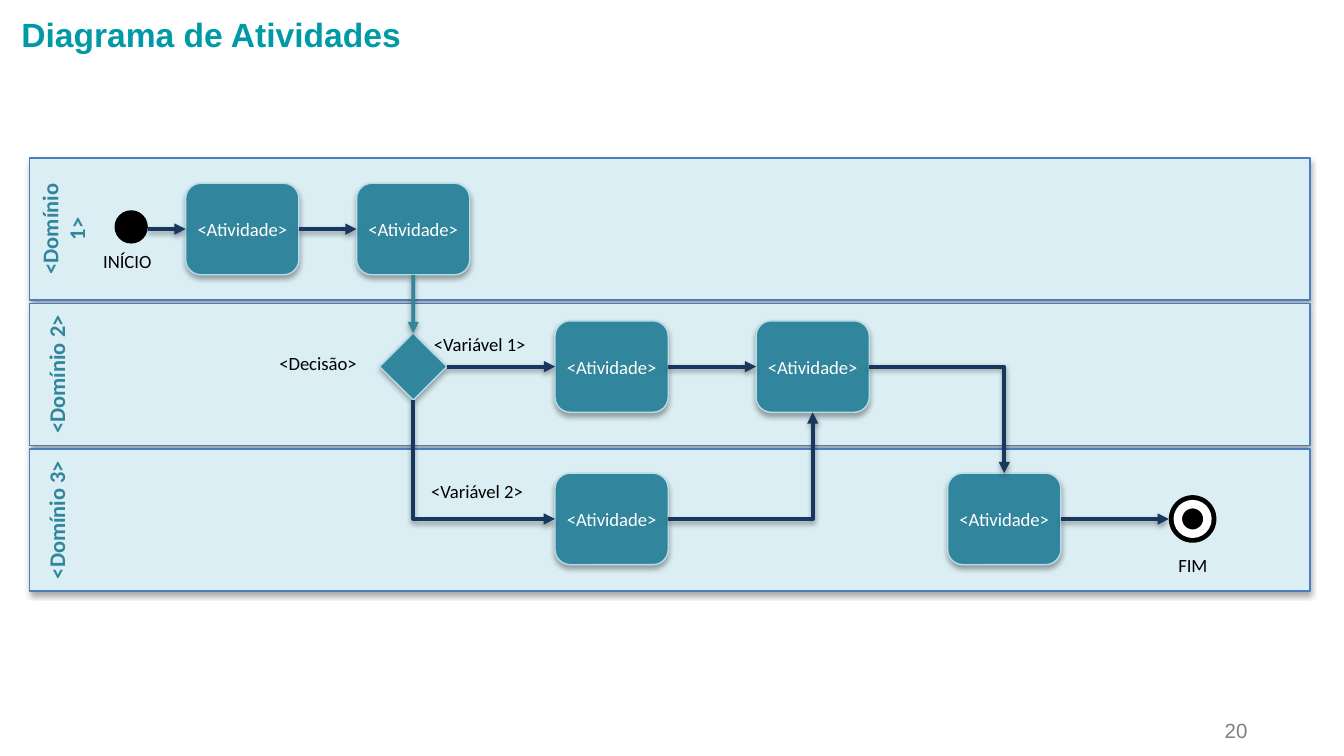
from lxml import etree
from pptx import Presentation
from pptx import util as u
from pptx.dml.color import RGBColor
from pptx.enum import shapes, text
from pptx.oxml.ns import qn

TEAL, NAVY, BLACK, WHITE = "31859C", "17375E", "000000", "FFFFFF"
TOP, LEFT, BOTTOM, RIGHT = range(4)


def rgb(value):
    return RGBColor.from_string(value)


class SwimlaneSlide:
    activity_w, activity_h = 2.14, 1.73

    def __init__(self, prs):
        self.slide = prs.slides.add_slide(prs.slide_layouts[5])
        self.shapes = self.slide.shapes

    def style_text(self, frame, content, size, color, font="Calibri", bold=False, align=None):
        frame.text = content
        paragraph = frame.paragraphs[0]
        paragraph.alignment = align
        for run in paragraph.runs:
            run.font.size = u.Pt(size)
            run.font.name = font
            run.font.bold = bold
            run.font.color.rgb = rgb(color)
        return paragraph

    def shadow(self, item, opacity=35, distance=1.8):
        properties = item._element.spPr
        for old in properties.findall(qn("a:effectLst")):
            properties.remove(old)
        effects = etree.SubElement(properties, qn("a:effectLst"))
        outer = etree.SubElement(effects, qn("a:outerShdw"), blurRad=str(u.Pt(3.1)),
                                 dist=str(u.Pt(distance)), dir="5400000", rotWithShape="0")
        tint = etree.SubElement(outer, qn("a:srgbClr"), val=BLACK)
        etree.SubElement(tint, qn("a:alpha"), val=str(opacity * 1000))

    def title(self, content):
        title = self.shapes.title
        title.left, title.top, title.width, title.height = map(u.Cm, (0.15, 0.13, 22.35, 1.02))
        frame = title.text_frame
        frame.auto_size = text.MSO_AUTO_SIZE.NONE
        frame.vertical_anchor = text.MSO_ANCHOR.TOP
        self.style_text(frame, content, 18, "009AA6", "Arial", True, text.PP_ALIGN.LEFT)

    def box(self, kind, cx, cy, width, height, fill, line=None, line_width=0.75):
        """Place a shape by its centre."""
        box = self.shapes.add_shape(kind, u.Cm(cx - width / 2), u.Cm(cy - height / 2),
                                    u.Cm(width), u.Cm(height))
        box.shadow.inherit = False
        box.fill.solid()
        box.fill.fore_color.rgb = rgb(fill)
        if line:
            box.line.color.rgb = rgb(line)
            box.line.width = u.Pt(line_width)
        else:
            box.line.fill.background()
        return box

    def lane(self, cy, name, margin_left, margin_ends, wrap):
        lane = self.box(shapes.MSO_SHAPE.RECTANGLE, 12.66, cy, 24.2, 2.69, "DBEEF4", "4B7EBC")
        self.shadow(lane)
        frame = lane.text_frame
        frame.word_wrap = wrap
        frame.vertical_anchor = text.MSO_ANCHOR.TOP
        frame.margin_left = u.Cm(margin_left)
        frame.margin_top = frame.margin_bottom = u.Cm(margin_ends)
        frame._txBody.bodyPr.set("vert", "vert270")
        self.style_text(frame, name, 12, TEAL, bold=True, align=text.PP_ALIGN.CENTER)

    def activity(self, cx, cy):
        activity = self.box(shapes.MSO_SHAPE.ROUNDED_RECTANGLE, cx, cy,
                            self.activity_w, self.activity_h, TEAL, "B7DEE8")
        self.shadow(activity)
        frame = activity.text_frame
        frame.margin_left = frame.margin_right = frame.margin_top = frame.margin_bottom = 0
        frame.vertical_anchor = text.MSO_ANCHOR.MIDDLE
        self.style_text(frame, "<Atividade>", 10, WHITE, align=text.PP_ALIGN.CENTER)
        return activity

    def decision(self, cx, cy):
        decision = self.box(shapes.MSO_SHAPE.DIAMOND, cx, cy, 1.27, 1.27, TEAL, "B7DEE8")
        self.shadow(decision)
        return decision

    def dot(self, cx, cy, diameter, line=None):
        self.box(shapes.MSO_SHAPE.OVAL, cx, cy, diameter, diameter, BLACK, line, 4.5)

    def label(self, left, top, width, content, size=10, color=BLACK, font="Calibri",
              align=text.PP_ALIGN.LEFT):
        label = self.shapes.add_textbox(u.Cm(left), u.Cm(top), u.Cm(width), u.Cm(0.69))
        label.text_frame.word_wrap = False
        return self.style_text(label.text_frame, content, size, color, font, align=align)

    def arrow(self, start, end, color=NAVY, kind=shapes.MSO_CONNECTOR.STRAIGHT):
        arrow = self.shapes.add_connector(kind, *map(u.Cm, start + end))
        arrow.line.color.rgb = rgb(color)
        arrow.line.width = u.Pt(2)
        etree.SubElement(arrow.line._get_or_add_ln(), qn("a:tailEnd"), type="triangle")
        self.shadow(arrow, 38, 1.6)
        return arrow

    def join(self, source, source_side, target, target_side, color=NAVY):
        arrow = self.arrow((0, 0), (1, 1), color)
        arrow.begin_connect(source, source_side)
        arrow.end_connect(target, target_side)

    def bent_arrow(self, start, end, down_first=False):
        """Draw an arrow with one corner, across first unless down_first."""
        arrow = self.arrow(start, end, kind=shapes.MSO_CONNECTOR.ELBOW)
        arrow._element.spPr.find(qn("a:prstGeom")).set("prst", "bentConnector2")
        if down_first:
            (x1, y1), (x2, y2) = start, end
            across, down = x2 - x1, y2 - y1
            arrow.left, arrow.top = u.Cm((x1 + x2 - down) / 2), u.Cm((y1 + y2 - across) / 2)
            arrow.width, arrow.height = u.Cm(down), u.Cm(across)
            frame = arrow._element.spPr.find(qn("a:xfrm"))
            frame.set("rot", "16200000")
            frame.set("flipH", "1")


def main():
    prs = Presentation()
    prs.slide_width, prs.slide_height = u.Cm(25.4), u.Cm(14.29)
    page = SwimlaneSlide(prs)
    page.title("Diagrama de Atividades")
    half_w, half_h = page.activity_w / 2, page.activity_h / 2

    # Lanes: the first name wraps onto two lines
    for number in range(3):
        first = number == 0
        page.lane(4.33 + 2.75 * number, f"<Domínio {number + 1}>",
                  0.12 if first else 0.25, 0.3 if first else 0, first)

    # Activities and decision, by column and row centres
    col_1, col_2, col_3, col_4, col_5 = 4.58, 7.81, 11.56, 15.36, 18.98
    row_1, row_2, row_3 = 4.33, 6.93, 9.81
    first_step = page.activity(col_1, row_1)
    second_step = page.activity(col_2, row_1)
    decision = page.decision(col_2, row_2)
    option_1 = page.activity(col_3, row_2)
    page.activity(col_3, row_3)
    merge = page.activity(col_4, row_2)
    last_step = page.activity(col_5, row_3)

    # Start and end marks
    start_x, end_x, end_d = 2.48, 22.54, 0.9
    page.dot(start_x, 4.29, 0.63)
    page.dot(end_x, row_3, end_d)
    page.dot(end_x, row_3, 0.56, WHITE)

    # Straight flow
    page.arrow((start_x + 0.31, row_1), (col_1 - half_w, row_1)).end_connect(first_step, LEFT)
    page.join(first_step, RIGHT, second_step, LEFT)
    page.join(second_step, BOTTOM, decision, TOP, TEAL)
    page.join(decision, RIGHT, option_1, LEFT)
    page.join(option_1, RIGHT, merge, LEFT)
    page.arrow((col_5 + half_w, row_3), (end_x - end_d / 2, row_3)).begin_connect(last_step, RIGHT)

    # Flow between lanes
    page.bent_arrow((col_2, row_2 + 0.64), (col_3 - half_w, row_3), down_first=True)
    page.bent_arrow((col_3 + half_w, row_3), (col_4, row_2 + half_h))
    page.bent_arrow((col_4 + half_w, row_2), (col_5, row_3 - half_h))

    # Labels
    for left, top, width, content in (
        (5.03, 6.53, 2.01, "<Decisão>"),
        (7.95, 6.17, 2.34, "<Variável 1>"),
        (7.9, 8.94, 2.34, "<Variável 2>"),
        (1.7, 4.6, 1.45, "INÍCIO"),
        (22.02, 10.34, 1.07, "FIM"),
    ):
        page.label(left, top, width, content)

    # Page number
    number = page.label(21.49, 13.54, 2.34, "20", 11, "808080", "Arial", text.PP_ALIGN.RIGHT)
    number.line_spacing = 0.8

    prs.save("out.pptx")


if __name__ == "__main__":
    main()
